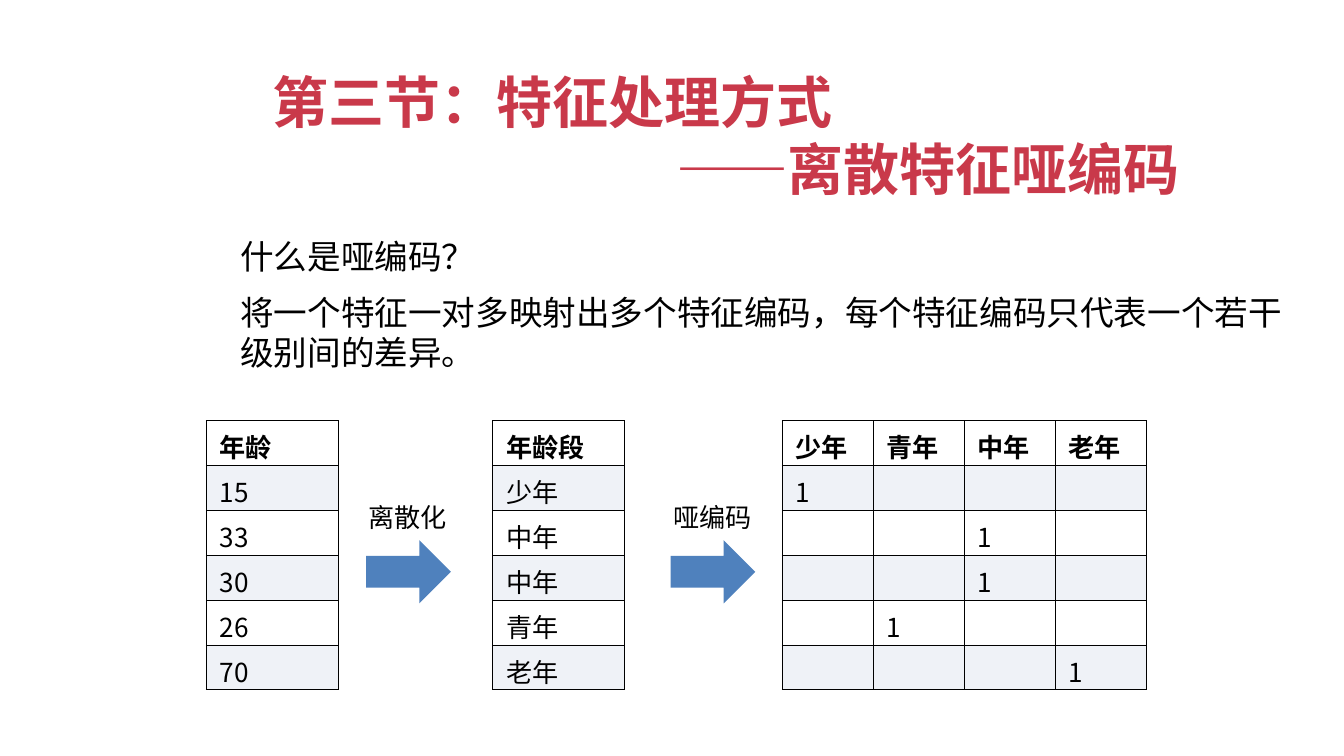
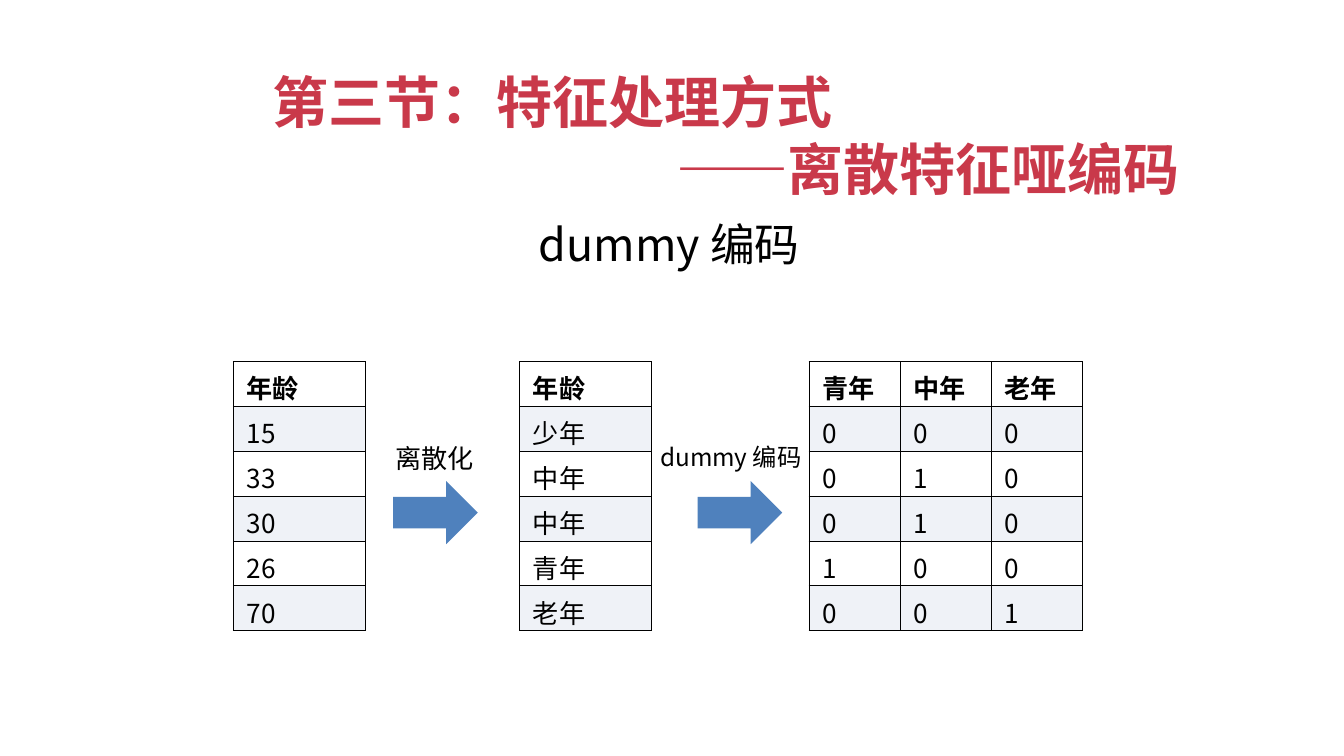
import lxml.etree
import pptx
import pptx.dml.color
import pptx.enum.shapes
import pptx.enum.text
import pptx.oxml.ns
import pptx.util

PX = 4572
FONT = "Noto Sans CJK SC"
RED = pptx.dml.color.RGBColor(0xC9, 0x39, 0x4A)
BLACK = pptx.dml.color.RGBColor(0x00, 0x00, 0x00)
BLUE = pptx.dml.color.RGBColor(0x4F, 0x81, 0xBD)
BAND = pptx.dml.color.RGBColor(0xB2, 0xC1, 0xDB)
qn = pptx.oxml.ns.qn


def write(frame, *lines, size=14, color=BLACK, bold=False, wrap=None):
    if wrap is not None:
        frame.word_wrap = wrap
        frame.auto_size = pptx.enum.text.MSO_AUTO_SIZE.SHAPE_TO_FIT_TEXT
        frame.vertical_anchor = pptx.enum.text.MSO_ANCHOR.TOP
    for index, line in enumerate(lines):
        paragraph = frame.paragraphs[0] if index == 0 else frame.add_paragraph()
        paragraph.alignment = pptx.enum.text.PP_ALIGN.LEFT
        if not line:
            lxml.etree.SubElement(paragraph._p, qn("a:endParaRPr"), sz=str(size * 100))
            continue
        run = paragraph.add_run()
        run.text = line
        run.font.size = pptx.util.Pt(size)
        run.font.bold = bold
        run.font.name = FONT
        run.font.color.rgb = color
        lxml.etree.SubElement(run.font._element, qn("a:ea"), typeface=FONT)


def add_grid(slide, left, top, width, rows):
    shape = slide.shapes.add_table(len(rows), len(rows[0]), left * PX, top * PX, width * PX, 400 * PX)
    table = shape.table
    table.first_row = False
    table.horz_banding = False
    for row_index, row in enumerate(rows):
        for column_index, text in enumerate(row):
            cell = table.cell(row_index, column_index)
            write(cell.text_frame, text, bold=row_index == 0)
            properties = cell._tc.get_or_add_tcPr()
            for side in ("lnL", "lnR", "lnT", "lnB"):
                border = lxml.etree.SubElement(properties, qn("a:" + side), w="6350")
                fill = lxml.etree.SubElement(border, qn("a:solidFill"))
                lxml.etree.SubElement(fill, qn("a:srgbClr"), val=str(BLACK))
            if row_index % 2:
                cell.fill.solid()
                cell.fill.fore_color.rgb = BAND
                color = properties.find(qn("a:solidFill")).find(qn("a:srgbClr"))
                lxml.etree.SubElement(color, qn("a:alpha"), val="20000")
            else:
                cell.fill.background()


ages = [["年龄"], ["15"], ["33"], ["30"], ["26"], ["70"]]
groups = [["少年"], ["中年"], ["中年"], ["青年"], ["老年"]]
one_hot = [
    ["少年", "青年", "中年", "老年"],
    ["1", "", "", ""],
    ["", "", "1", ""],
    ["", "", "1", ""],
    ["", "1", "", ""],
    ["", "", "", "1"],
]
dummy = [one_hot[0][1:]] + [[value or "0" for value in row[1:]] for row in one_hot[1:]]

slides = [
    {
        "texts": [
            ("什么是哑编码？", 338, 342, 394, 80, 18, False),
            ("将一个特征一对多映射出多个特征编码，每个特征编码只代表一个若干级别间的差异。", 338, 424, 1606, 142, 18, True),
            ("离散化", 528, 736, 158, 68, 14, False),
            ("哑编码", 982, 737, 158, 68, 14, False),
        ],
        "left": 307, "top": 626, "group_header": "年龄段", "codes": one_hot, "codes_width": 542,
    },
    {
        "texts": [
            ("dummy 编码", 782, 312, 442, 100, 24, False),
            ("离散化", 569, 649, 158, 68, 14, False),
            ("dummy 编码", 963, 648, 256, 64, 13, True),
        ],
        "left": 347, "top": 538, "group_header": "年龄", "codes": dummy, "codes_width": 407,
    },
]

presentation = pptx.Presentation()
presentation.slide_width = 2000 * PX
presentation.slide_height = 1125 * PX

for content in slides:
    slide = presentation.slides.add_slide(presentation.slide_layouts[5])
    title = slide.shapes.title
    title.left, title.top, title.width, title.height = 386 * PX, 90 * PX, 1430 * PX, 222 * PX
    write(title.text_frame, "第三节：特征处理方式", "——离散特征哑编码", size=30, color=RED, bold=True, wrap=False)
    subtitle = title.text_frame.paragraphs[1]
    subtitle.level = 6
    subtitle._p.get_or_add_pPr().set("marL", str(600 * PX))
    subtitle._p.get_or_add_pPr().set("indent", "0")

    left, top = content["left"], content["top"]
    add_grid(slide, left, top, 197, ages)
    add_grid(slide, left + 426, top, 197, [[content["group_header"]]] + groups)
    add_grid(slide, left + 857, top, content["codes_width"], content["codes"])

    for offset in (238, 691):
        arrow = slide.shapes.add_shape(
            pptx.enum.shapes.MSO_SHAPE.RIGHT_ARROW, (left + offset) * PX, (top + 178) * PX, 126 * PX, 94 * PX
        )
        arrow.shadow.inherit = False
        arrow.fill.solid()
        arrow.fill.fore_color.rgb = BLUE
        arrow.line.fill.background()

    for text, x, y, width, height, size, wrap in content["texts"]:
        box = slide.shapes.add_textbox(x * PX, y * PX, width * PX, height * PX)
        write(box.text_frame, text, size=size, wrap=wrap)

presentation.save("out.pptx")
